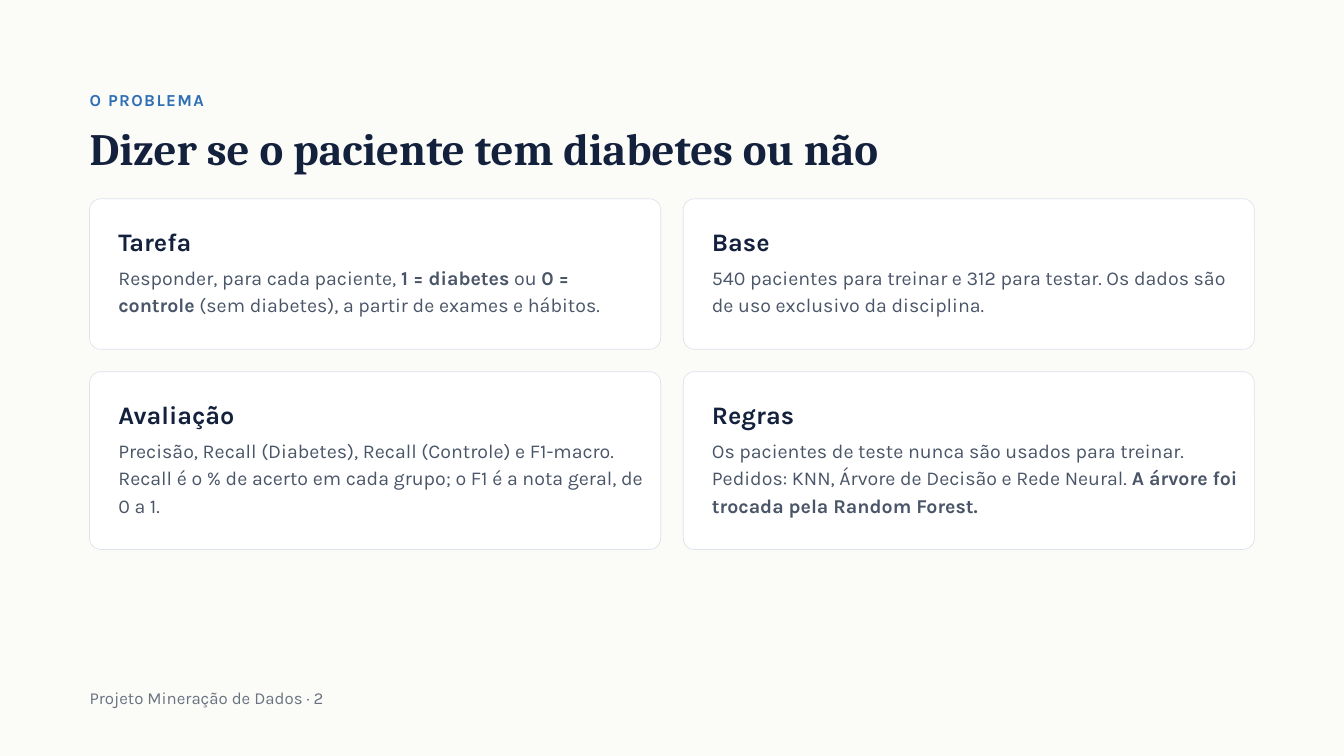
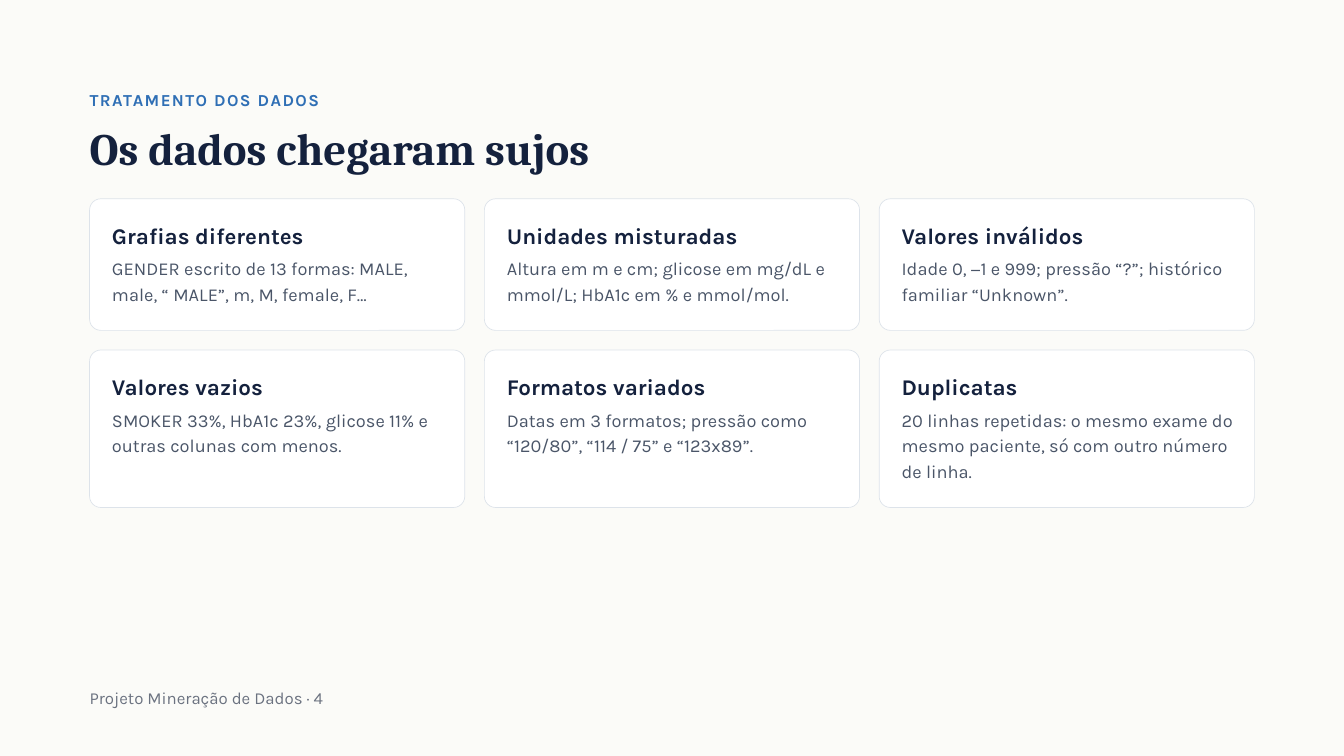
from dataclasses import dataclass

from pptx import Presentation
from pptx import util as u
from pptx.dml.color import RGBColor
from pptx.enum import shapes, text


@dataclass(frozen=True)
class TextStyle:
    """Font, size, line pitch, colour and weight of one kind of text."""
    font: str
    size: float
    pitch: float
    color: str
    bold: bool = False
    spacing: int = 0


@dataclass(frozen=True)
class CardGrid:
    """Measures and text styles of one grid of cards."""
    columns: int
    gap: int
    pad: int
    head_top: int
    body_top: int
    heights: tuple
    head: TextStyle
    body: TextStyle


@dataclass(frozen=True)
class Theme:
    """Colours, type and shared measures of the deck."""
    background: str = "FBFBF8"
    card: str = "FFFFFF"
    border: str = "DDE3EA"
    eyebrow: TextStyle = TextStyle("Karla", 18, 25.2, "2F6FB5", True, 150)
    title: TextStyle = TextStyle("Cambria", 48, 52.8, "14213D", True)
    footer: TextStyle = TextStyle("Karla", 18, 25.2, "6B7280")
    large: CardGrid = CardGrid(
        2, 32, 41, 40, 90, (215, 254),
        TextStyle("Karla", 27, 32.4, "14213D", True),
        TextStyle("Karla", 21, 29.4, "4A5568"))
    small: CardGrid = CardGrid(
        3, 28, 32, 33, 79, (188, 225),
        TextStyle("Karla", 24, 28.8, "14213D", True),
        TextStyle("Karla", 19.5, 27.3, "4A5568"))
    left: int = 128
    width: int = 1664
    cards_top: int = 284
    radius: int = 16
    slack: float = 1.03


THEME = Theme()
PX = 9525

PROBLEM = [
    ("Tarefa", "Responder, para cada paciente, **1 = diabetes** ou **0 = controle** "
               "(sem diabetes), a partir de exames e hábitos."),
    ("Base", "540 pacientes para treinar e 312 para testar. Os dados são de uso "
             "exclusivo da disciplina."),
    ("Avaliação", "Precisão, Recall (Diabetes), Recall (Controle) e F1-macro. Recall é "
                  "o % de acerto em cada grupo; o F1 é a nota geral, de 0 a 1."),
    ("Regras", "Os pacientes de teste nunca são usados para treinar. Pedidos: KNN, "
               "Árvore de Decisão e Rede Neural. "
               "**A árvore foi trocada pela Random Forest.**"),
]
DIRTY_DATA = [
    ("Grafias diferentes", "GENDER escrito de 13 formas: MALE, male, “ MALE”, m, M, female, F…"),
    ("Unidades misturadas", "Altura em m e cm; glicose em mg/dL e mmol/L; HbA1c em % e mmol/mol."),
    ("Valores inválidos", "Idade 0, −1 e 999; pressão “?”; histórico familiar “Unknown”."),
    ("Valores vazios", "SMOKER 33%, HbA1c 23%, glicose 11% e outras colunas com menos."),
    ("Formatos variados", "Datas em 3 formatos; pressão como “120/80”, “114 / 75” e “123x89”."),
    ("Duplicatas", "20 linhas repetidas: o mesmo exame do mesmo paciente, só com outro "
                   "número de linha."),
]


def rgb(color):
    """Turn a hex string into a colour."""
    return RGBColor.from_string(color)


class Deck:
    """Holds the theme and the current slide, and draws each kind of element."""

    def __init__(self, theme):
        """Start an empty deck with the shared background."""
        self.theme = theme
        self.prs = Presentation()
        self.prs.slide_width, self.prs.slide_height = 1920 * PX, 1080 * PX
        fill = self.prs.slide_master.background.fill
        fill.solid()
        fill.fore_color.rgb = rgb(theme.background)
        self.slide = None

    def fill_text(self, sp, content, style):
        """Write text into a shape, with **marked** parts in bold."""
        tf = sp.text_frame
        tf.word_wrap = True
        tf.auto_size = text.MSO_AUTO_SIZE.SHAPE_TO_FIT_TEXT
        tf.vertical_anchor = text.MSO_ANCHOR.TOP
        tf.margin_left = tf.margin_top = tf.margin_right = tf.margin_bottom = 0
        p = tf.paragraphs[0]
        p.alignment = text.PP_ALIGN.LEFT
        p.line_spacing = u.Pt(style.pitch)
        p.space_before = u.Pt(0)
        for i, part in enumerate(content.split("**")):
            if not part:
                continue
            r = p.add_run()
            r.text = part
            r.font.name = style.font
            r.font.size = u.Pt(style.size)
            r.font.bold = style.bold or i % 2 == 1
            r.font.color.rgb = rgb(style.color)
            if style.spacing:
                r._r.get_or_add_rPr().set("spc", str(style.spacing))

    def box(self, x, y, w, h):
        """Scale a box to EMU, with some slack in its width."""
        return x * PX, y * PX, round(w * self.theme.slack) * PX, h * PX

    def label(self, content, x, y, w, h, style):
        """Add a text box."""
        self.fill_text(self.slide.shapes.add_textbox(*self.box(x, y, w, h)), content, style)

    def add_slide(self, eyebrow, title, number):
        """Add a slide with its eyebrow, title and footer."""
        t = self.theme
        self.slide = self.prs.slides.add_slide(self.prs.slide_layouts[5])
        sp = self.slide.shapes.title
        sp.left, sp.top, sp.width, sp.height = self.box(t.left, 179, t.width, 69)
        self.fill_text(sp, title, t.title)
        self.label(eyebrow, t.left, 124, t.width, 41, t.eyebrow)
        self.label(f"Projeto Mineração de Dados · {number}",
                   t.left, 978, t.width, 41, t.footer)

    def card(self, x, y, w, h, head, body, grid):
        """Add a rounded card with a heading and a body."""
        sp = self.slide.shapes.add_shape(
            shapes.MSO_SHAPE.ROUNDED_RECTANGLE, x * PX, y * PX, w * PX, h * PX)
        sp.adjustments[0] = self.theme.radius / min(w, h)
        sp.shadow.inherit = False
        sp.fill.solid()
        sp.fill.fore_color.rgb = rgb(self.theme.card)
        sp.line.color.rgb = rgb(self.theme.border)
        sp.line.width = u.Pt(0.75)
        inner = w - 2 * grid.pad
        self.label(head, x + grid.pad, y + grid.head_top, inner,
                   grid.body_top - grid.head_top - 3, grid.head)
        self.label(body, x + grid.pad, y + grid.body_top, inner,
                   h - grid.body_top - grid.pad, grid.body)

    def cards(self, items, grid):
        """Lay cards out in rows of equal columns."""
        t = self.theme
        w = (t.width - (grid.columns - 1) * grid.gap) // grid.columns
        for i, (head, body) in enumerate(items):
            row, col = divmod(i, grid.columns)
            x = t.left + col * (w + grid.gap)
            y = t.cards_top + sum(grid.heights[:row]) + row * grid.gap
            self.card(x, y, w, grid.heights[row], head, body, grid)


def main():
    """Build and save the deck."""
    deck = Deck(THEME)
    deck.add_slide("O PROBLEMA", "Dizer se o paciente tem diabetes ou não", 2)
    deck.cards(PROBLEM, THEME.large)
    deck.add_slide("TRATAMENTO DOS DADOS", "Os dados chegaram sujos", 4)
    deck.cards(DIRTY_DATA, THEME.small)
    deck.prs.save("out.pptx")


if __name__ == "__main__":
    main()
